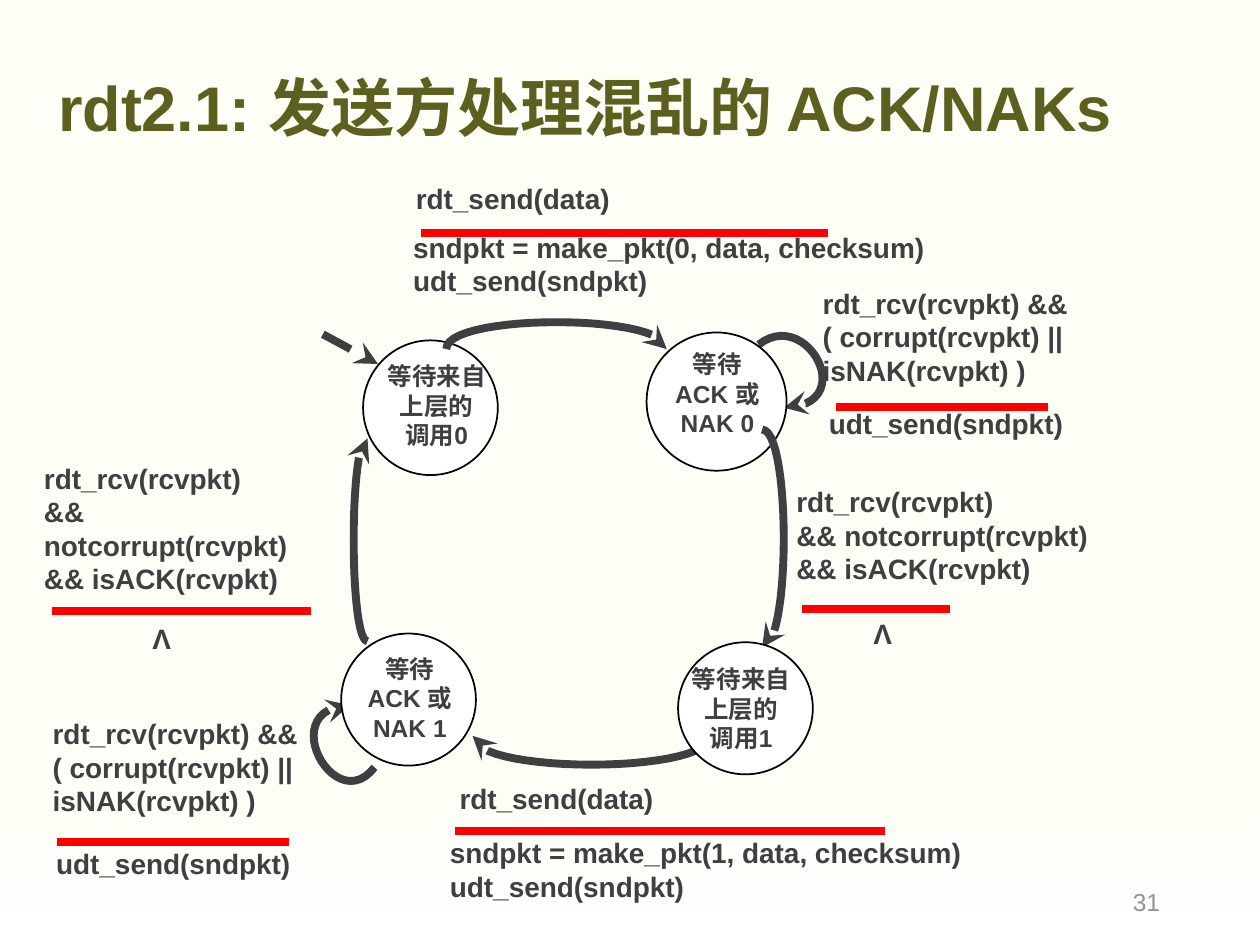
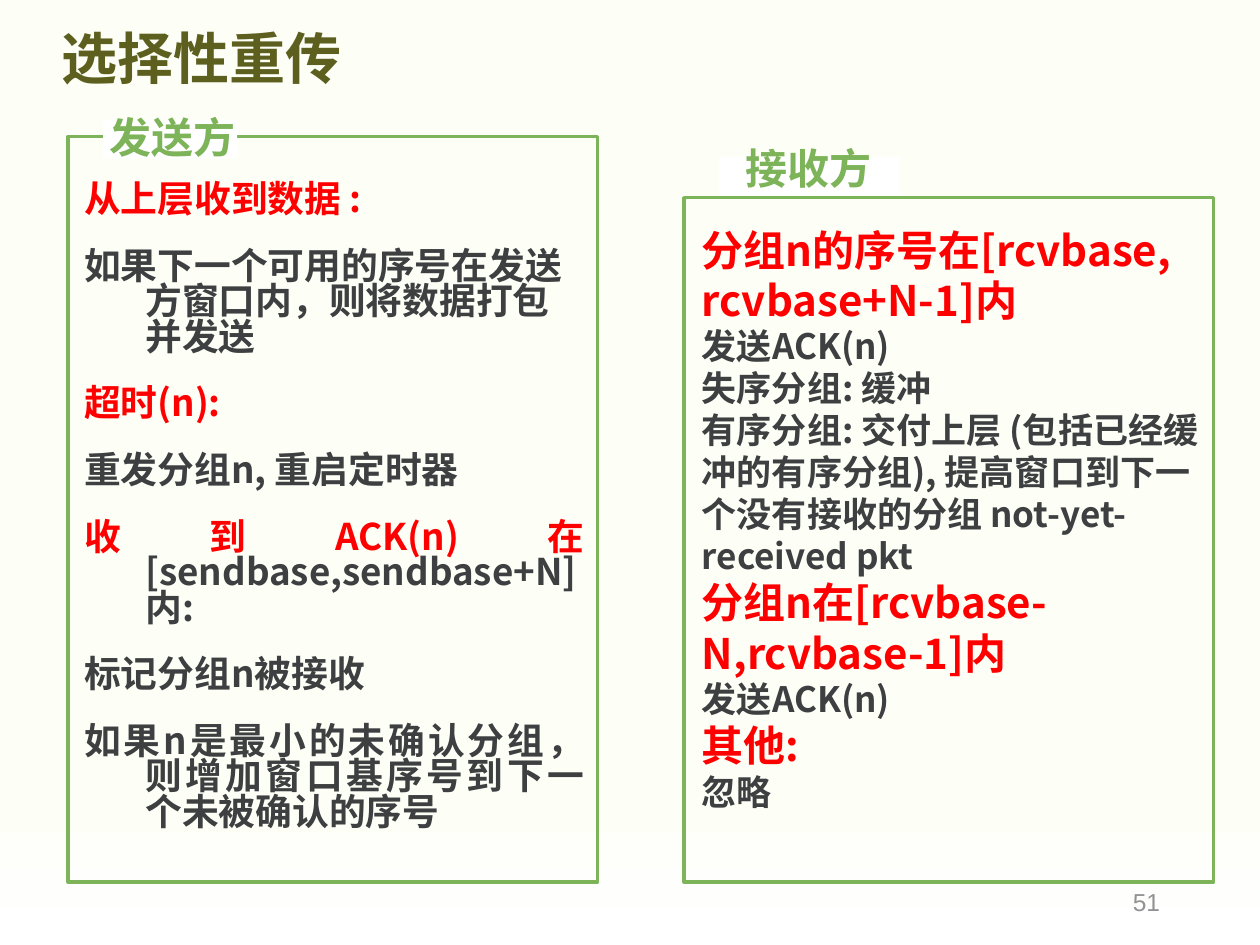
import pptx
import pptx.dml.color
import pptx.enum.dml
import pptx.enum.shapes
import pptx.enum.text
import pptx.oxml
import pptx.oxml.ns
import pptx.util

Pt = pptx.util.Pt
RGBColor = pptx.dml.color.RGBColor
ALIGN = pptx.enum.text.PP_ALIGN
SHAPE = pptx.enum.shapes.MSO_SHAPE
STRAIGHT = pptx.enum.shapes.MSO_CONNECTOR.STRAIGHT
qn = pptx.oxml.ns.qn

IVORY = RGBColor(0xFD, 0xFF, 0xF7)
WHITE = RGBColor(0xFF, 0xFF, 0xFF)
BLACK = RGBColor(0, 0, 0)
OLIVE = RGBColor(0x5D, 0x5F, 0x1F)
INK = RGBColor(0x3D, 0x3F, 0x41)
GRAY = RGBColor(0x91, 0x92, 0x93)
RED = RGBColor(0xFF, 0, 0)
GREEN = RGBColor(0x7D, 0xB3, 0x59)
LATIN, CHINESE, LABEL = "Arial", "Noto Sans CJK SC", "Comic Neue"


def write_text(frame, paragraphs, font=LATIN, align=ALIGN.LEFT, bold=True):
    """Fill a frame; each paragraph is a list of (text, size, color) runs."""
    frame.word_wrap = True
    frame.auto_size = pptx.enum.text.MSO_AUTO_SIZE.NONE
    for i, runs in enumerate(paragraphs):
        paragraph = frame.add_paragraph() if i else frame.paragraphs[0]
        paragraph.alignment = align
        for text, size, color in runs:
            run = paragraph.add_run()
            run.text = text
            run.font.size = Pt(size)
            run.font.bold = bold
            run.font.color.rgb = color
            run.font.name = font
            east_asian = pptx.oxml.parse_xml(
                f'<a:ea {pptx.oxml.ns.nsdecls("a")} typeface="{CHINESE}"/>')
            run.font._element.find(qn("a:latin")).addnext(east_asian)


def style_stroke(stroke, color, arrow=False):
    """Thick unshadowed line, optionally with a stealth arrow at its end."""
    stroke.line.color.rgb = color
    stroke.line.width = Pt(4.5)
    properties = stroke._element.spPr
    if arrow:
        line = properties.find(qn("a:ln"))
        line.append(pptx.oxml.parse_xml(
            f'<a:tailEnd {pptx.oxml.ns.nsdecls("a")} type="stealth"/>'))
    if properties.find(qn("a:effectLst")) is None:
        properties.append(pptx.oxml.parse_xml(
            f'<a:effectLst {pptx.oxml.ns.nsdecls("a")}/>'))


deck = pptx.Presentation()
deck.slide_width, deck.slide_height = Pt(720), Pt(540)
backdrop = deck.slide_master.background.fill
backdrop.gradient()
backdrop.gradient_angle = 270
for stop, position, color in zip(backdrop.gradient_stops, (0.84, 1), (IVORY, WHITE)):
    stop.position = position
    stop.color.rgb = color

# Titles and page numbers
pages = []
for heading, size, box, number in [
    ("rdt2.1: 发送方处理混乱的 ACK/NAKs", 36, (26, 18.5, 651.5, 90), "31"),
    ("选择性重传", 32, (28, 2, 612, 66), "51"),
]:
    page = deck.slides.add_slide(deck.slide_layouts[5])
    title = page.shapes.title
    title.left, title.top, title.width, title.height = map(Pt, box)
    write_text(title.text_frame, [[(heading, size, OLIVE)]])
    title.text_frame.vertical_anchor = pptx.enum.text.MSO_ANCHOR.MIDDLE
    title.text_frame.paragraphs[0].line_spacing = 0.9
    page_number = page.shapes.add_textbox(Pt(508), Pt(500.5), Pt(162), Pt(29))
    write_text(page_number.text_frame, [[(number, 14, GRAY)]],
               align=ALIGN.RIGHT, bold=False)
    page_number.text_frame.vertical_anchor = pptx.enum.text.MSO_ANCHOR.MIDDLE
    pages.append(page)
machine, selective_repeat = pages

# Slide 1: sender states, each drawn over the curves that lead into it
start = machine.shapes.add_connector(STRAIGHT, Pt(184.5), Pt(191), Pt(216), Pt(208))
start.line.dash_style = pptx.enum.dml.MSO_LINE.DASH
style_stroke(start, INK, arrow=True)

# (circle, text box, text lines, incoming curves as four Bezier points)
states = [
    ((207.5, 194.5, 77, 77), (203, 203, 93, 55), ["等待来自", "上层的", "调用0"],
     [[(210, 366.5), (199.5, 366.5), (199.5, 250.5), (210, 250.5)]]),
    ((369.5, 190, 80, 79), (363.5, 196, 93, 59), ["等待", "ACK 或 NAK 0"],
     [[(255, 199.5), (255, 179), (381, 179), (381, 199.5)],
      [(433.5, 197), (461, 175), (492, 232), (448, 233)]]),
    ((195, 362, 77, 75.5), (190, 370, 88.5, 55), ["等待", "ACK 或 NAK 1"],
     [[(406, 420.5), (406, 442.5), (270, 442.5), (270, 420.5)],
      [(214, 438.5), (191.5, 468), (156.5, 404.5), (200, 403)]]),
    ((387.5, 367, 77, 75.5), (376, 376, 95, 55), ["等待来自", "上层的", "调用1"],
     [[(435.5, 245.5), (452, 245.5), (452, 370), (435.5, 370)]]),
]
CURVE_STEPS = 26
for circle_box, text_box, lines, curves in states:
    for curve in curves:
        points = []
        for step in range(CURVE_STEPS + 1):
            t = step / CURVE_STEPS
            weights = ((1 - t) ** 3, 3 * t * (1 - t) ** 2, 3 * t * t * (1 - t), t ** 3)
            points.append(tuple(
                Pt(sum(w * point[axis] for w, point in zip(weights, curve)))
                for axis in (0, 1)))
        outline = machine.shapes.build_freeform(*points[0], scale=1.0)
        outline.add_line_segments(points[1:], close=False)
        transition = outline.convert_to_shape()
        transition.fill.background()
        transition.shadow.inherit = False
        style_stroke(transition, INK, arrow=True)
    circle = machine.shapes.add_shape(SHAPE.OVAL, *map(Pt, circle_box))
    circle.shadow.inherit = False
    circle.fill.solid()
    circle.fill.fore_color.rgb = WHITE
    circle.line.color.rgb = BLACK
    circle.line.width = Pt(1)
    caption = machine.shapes.add_textbox(*map(Pt, text_box))
    write_text(caption.text_frame, [[(line, 14, INK)] for line in lines],
               align=ALIGN.CENTER)

# Transition labels: event above a red bar, action below it
SEND = ["rdt_send(data)"]
REJECTED = ["rdt_rcv(rcvpkt) &&", "( corrupt(rcvpkt) ||", "isNAK(rcvpkt) )"]
ACCEPTED = ["rdt_rcv(rcvpkt)", "&& notcorrupt(rcvpkt)", "&& isACK(rcvpkt)"]
RESEND = ["udt_send(sndpkt)"]
NOTHING = ["Λ"]
packets = [[f"sndpkt = make_pkt({n}, data, checksum)"] + RESEND for n in (0, 1)]
# (event, left, top, width), (bar left, right, y), (action, left, top, width)
labels = [
    ((SEND, 230.5, 100, 179), (240.5, 473, 133), (packets[0], 229, 128, 314)),
    ((REJECTED, 463, 160, 218), (477.5, 599, 232.5), (RESEND, 466.5, 229, 192)),
    ((ACCEPTED, 448, 273.5, 254), (458.5, 543, 348), (NOTHING, 492, 348.5, 40)),
    ((SEND, 255.5, 443, 203), (260, 506, 475), (packets[1], 250, 474, 320)),
    ((REJECTED, 23, 406, 170.5), (32.5, 165, 481), (RESEND, 25, 480, 155)),
    ((ACCEPTED, 18, 260, 179), (30, 178, 349), (NOTHING, 80, 351.5, 40)),
]
for event, (bar_left, bar_right, bar_y), action in labels:
    bar = machine.shapes.add_connector(
        STRAIGHT, Pt(bar_left), Pt(bar_y), Pt(bar_right), Pt(bar_y))
    style_stroke(bar, RED)
    for lines, left, top, width in (event, action):
        label = machine.shapes.add_textbox(
            Pt(left), Pt(top), Pt(width), Pt(19 * len(lines) + 8))
        write_text(label.text_frame, [[(line, 16, INK)] for line in lines])

# Slide 2: sender and receiver rules
sender_rules = [
    [("从上层收到数据 :", 21, RED)],
    [("如果下一个可用的序号在发送方窗口内，则将数据打包并发送", 21, INK)],
    [("超时(n):", 21, RED)],
    [("重发分组n, 重启定时器", 21, INK)],
    [("收到ACK(n)在", 21, RED), ("[sendbase,sendbase+N]内:", 21, INK)],
    [("标记分组n被接收", 21, INK)],
    [("如果n是最小的未确认分组，则增加窗口基序号到下一个未被确认的序号", 21, INK)],
]
receiver_rules = [
    [("分组n的序号在[rcvbase, rcvbase+N-1]内", 24, RED)],
    [("发送ACK(n)", 20, INK)],
    [("失序分组: 缓冲", 20, INK)],
    [("有序分组: 交付上层 (包括已经缓冲的有序分组), 提高窗口到下一个没有接收的分组 "
      "not-yet-received pkt", 20, INK)],
    [("分组n在[rcvbase-N,rcvbase-1]内", 24, RED)],
    [("发送ACK(n)", 20, INK)],
    [("其他:", 24, RED)],
    [("忽略", 20, INK)],
]
sender = selective_repeat.shapes.add_textbox(Pt(41), Pt(102), Pt(300), Pt(378))
write_text(sender.text_frame, sender_rules, CHINESE, ALIGN.JUSTIFY)
for i, rule in enumerate(sender.text_frame.paragraphs):
    rule.line_spacing = 0.8
    if i:
        rule.space_before = Pt(18)
    indent = rule._p.get_or_add_pPr()
    indent.set("marL", str(Pt(35)))
    indent.set("indent", str(-Pt(35)))
sender.text_frame.paragraphs[1].alignment = ALIGN.LEFT
receiver = selective_repeat.shapes.add_textbox(Pt(394), Pt(124.5), Pt(300), Pt(379.5))
write_text(receiver.text_frame, receiver_rules, CHINESE)

for role, frame_box, gap_box, role_box in [
    ("发送方", (39, 78, 302.5, 426), (59, 68.5, 76.5, 22), (55.5, 60, 86.5, 36)),
    ("接收方", (391, 113, 302.5, 391), (411, 89.5, 103, 22), (419, 78, 86.5, 36)),
]:
    border = selective_repeat.shapes.add_shape(SHAPE.RECTANGLE, *map(Pt, frame_box))
    border.shadow.inherit = False
    border.fill.background()
    border.line.color.rgb = GREEN
    border.line.width = Pt(2)
    gap = selective_repeat.shapes.add_shape(SHAPE.RECTANGLE, *map(Pt, gap_box))
    gap.shadow.inherit = False
    gap.fill.solid()
    gap.fill.fore_color.rgb = WHITE
    gap.line.fill.background()
    role_label = selective_repeat.shapes.add_textbox(*map(Pt, role_box))
    write_text(role_label.text_frame, [[(role, 24, GREEN)]], LABEL, ALIGN.CENTER)
    role_label.text_frame.word_wrap = False

deck.save("out.pptx")
